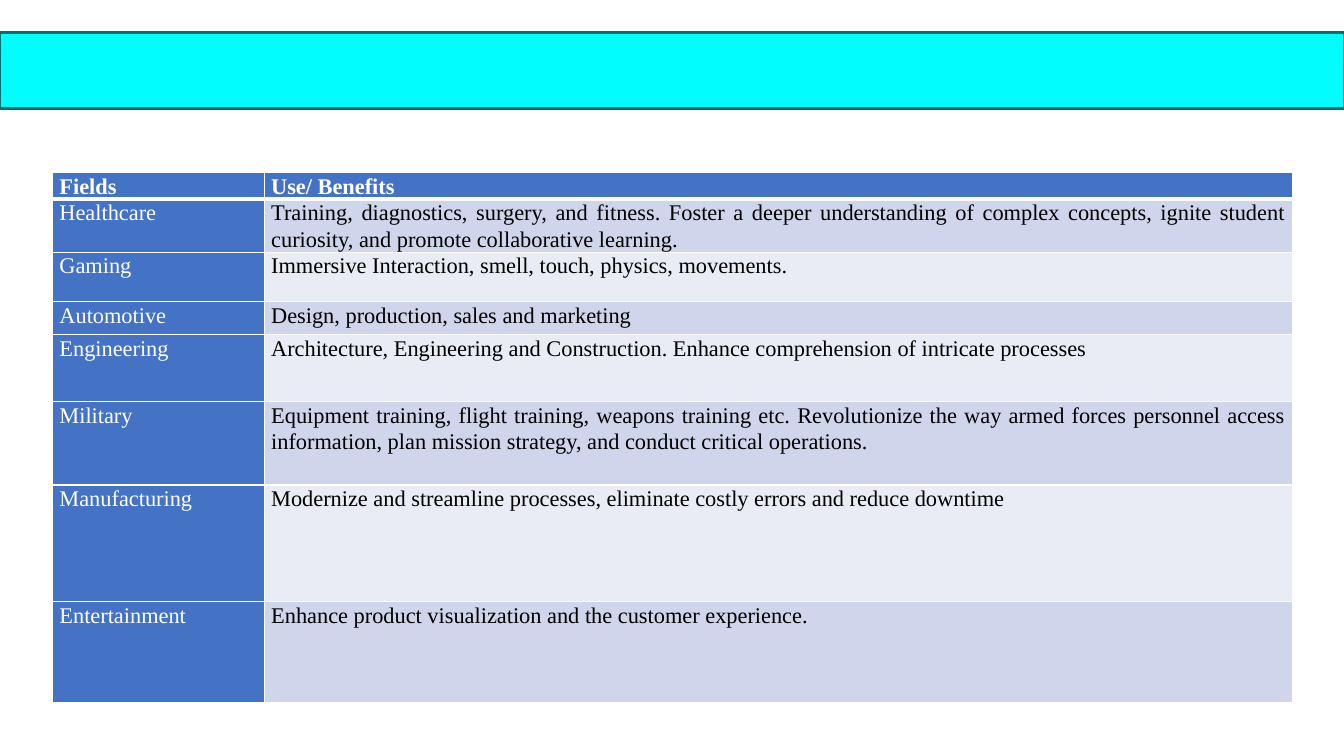
from dataclasses import dataclass

from lxml.etree import SubElement
from pptx import Presentation
from pptx.dml.color import RGBColor
from pptx.enum.shapes import MSO_SHAPE as Shape
from pptx.enum.text import MSO_ANCHOR as Anchor, PP_ALIGN as Align
from pptx.oxml.ns import qn
from pptx.util import Inches, Pt


@dataclass(frozen=True)
class Theme:
    font: str = "Times New Roman"
    text_size: int = 16
    banner: str = "02FDFF"
    banner_line: str = "016F70"
    accent: str = "4472C4"
    bands: tuple = ("CFD5EA", "E9EBF5")
    light: str = "FFFFFF"
    dark: str = "000000"
    border: int = 1
    header_border: int = 3


THEME = Theme()
COLUMN_WIDTHS = (2.1, 10.2)

# Row height in inches, field, use
ROWS = (
    (0.16, "Fields", "Use/ Benefits"),
    (0.49, "Healthcare", "Training, diagnostics, surgery, and fitness. Foster a deeper "
     "understanding of complex concepts, ignite student curiosity, and promote "
     "collaborative learning. "),
    (0.49, "Gaming", "Immersive Interaction, smell, touch, physics, movements."),
    (0.33, "Automotive", "Design, production, sales and marketing"),
    (0.66, "Engineering", "Architecture, Engineering and Construction. Enhance "
     "comprehension of intricate processes"),
    (0.83, "Military", "Equipment training, flight training, weapons training etc. "
     "Revolutionize the way armed forces personnel access information, plan mission "
     "strategy, and conduct critical operations."),
    (1.16, "Manufacturing", "Modernize and streamline processes, eliminate costly errors "
     "and reduce downtime"),
    (1.0, "Entertainment", "Enhance product visualization and the customer experience."),
)


def add_banner(slide):
    banner = slide.shapes.add_shape(
        Shape.RECTANGLE, 0, Inches(0.32), Inches(13.33), Inches(0.76))
    banner.shadow.inherit = False
    banner.fill.solid()
    banner.fill.fore_color.rgb = RGBColor.from_string(THEME.banner)
    banner.line.color.rgb = RGBColor.from_string(THEME.banner_line)
    banner.line.width = Pt(2)


def set_borders(cell, top, bottom):
    """Draw the four cell borders; call before filling, as the XML order requires."""
    properties = cell._tc.get_or_add_tcPr()
    widths = {"lnL": THEME.border, "lnR": THEME.border, "lnT": top, "lnB": bottom}
    for side, width in widths.items():
        line = SubElement(properties, qn(f"a:{side}"), w=str(Pt(width)))
        fill = SubElement(line, qn("a:solidFill"))
        SubElement(fill, qn("a:srgbClr"), val=THEME.light)


def fill_cell(cell, text, fill, color, header):
    cell.fill.solid()
    cell.fill.fore_color.rgb = RGBColor.from_string(fill)
    cell.margin_left = cell.margin_right = Inches(0.07)
    cell.margin_top = cell.margin_bottom = 0
    cell.vertical_anchor = Anchor.BOTTOM if header else Anchor.TOP
    paragraph = cell.text_frame.paragraphs[0]
    paragraph.alignment = Align.JUSTIFY
    paragraph.line_spacing = 1.07
    paragraph.space_after = Pt(8)
    run = paragraph.add_run()
    run.text = text
    run.font.name = THEME.font
    run.font.size = Pt(THEME.text_size)
    run.font.bold = header
    run.font.color.rgb = RGBColor.from_string(color)


def add_benefits_table(slide):
    heights = [height for height, *_ in ROWS]
    table = slide.shapes.add_table(
        len(ROWS), len(COLUMN_WIDTHS), Inches(0.52), Inches(1.71),
        Inches(sum(COLUMN_WIDTHS)), Inches(sum(heights))).table
    for column, width in zip(table.columns, COLUMN_WIDTHS):
        column.width = Inches(width)
    for row_index, (height, *texts) in enumerate(ROWS):
        table.rows[row_index].height = Inches(height)
        header = row_index == 0
        top = THEME.header_border if row_index == 1 else THEME.border
        bottom = THEME.header_border if header else THEME.border
        for column_index, text in enumerate(texts):
            cell = table.cell(row_index, column_index)
            accented = header or column_index == 0
            fill = THEME.accent if accented else THEME.bands[(row_index - 1) % 2]
            set_borders(cell, top, bottom)
            fill_cell(cell, text, fill, THEME.light if accented else THEME.dark, header)


def main():
    presentation = Presentation()
    presentation.slide_width = Inches(13.33)
    presentation.slide_height = Inches(7.5)
    blank_layout = presentation.slide_layouts[6]
    slide = presentation.slides.add_slide(blank_layout)
    add_banner(slide)
    add_benefits_table(slide)
    presentation.save("out.pptx")


if __name__ == "__main__":
    main()
